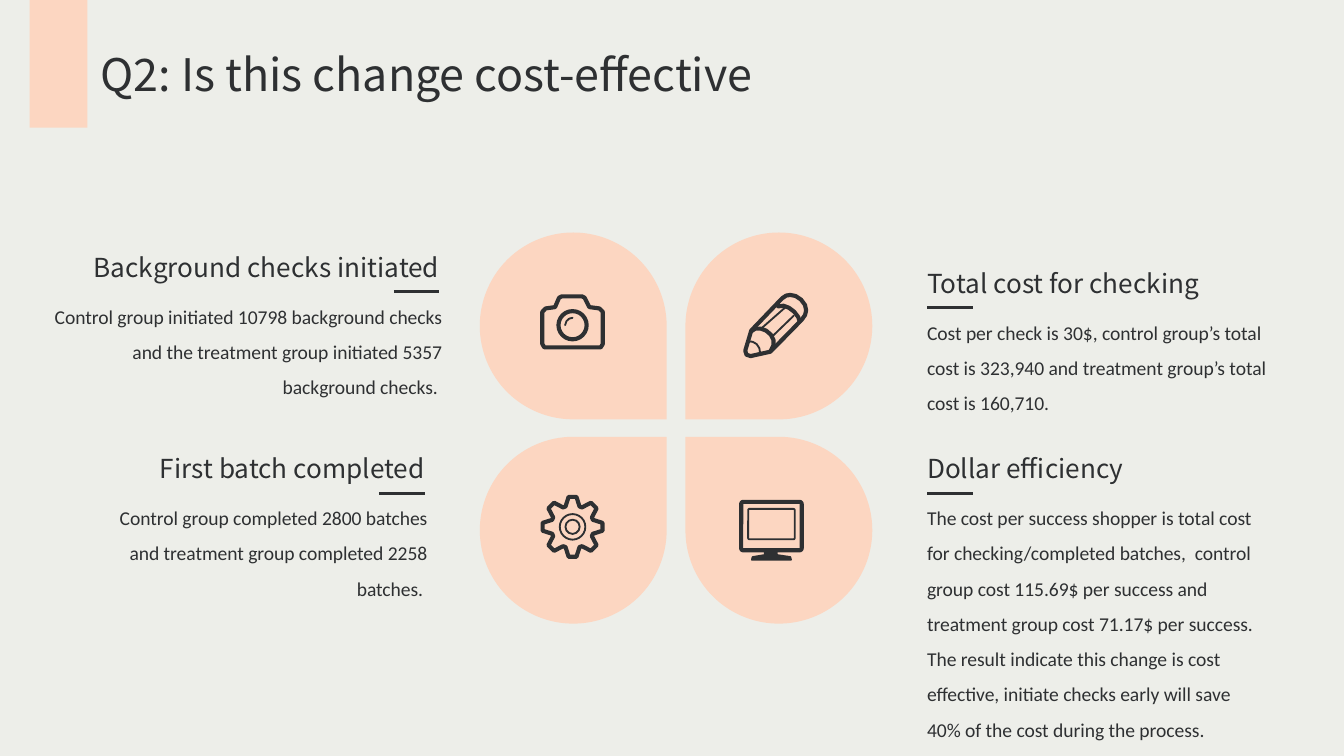
from math import cos, radians, sin

from lxml.etree import SubElement
from pptx import Presentation
from pptx.dml.color import RGBColor
from pptx.enum.shapes import MSO_CONNECTOR, MSO_SHAPE
from pptx.enum.text import MSO_AUTO_SIZE, PP_ALIGN
from pptx.oxml.ns import qn
from pptx.util import Inches, Pt

THEME = {
    "paper": RGBColor.from_string("EDEEE9"),
    "peach": RGBColor.from_string("FCD6C1"),
    "ink": RGBColor.from_string("2E3032"),
    "display": "Noto Sans CJK SC", "text": "Calibri",
    "title": 24, "heading": 14, "body": 10.5,
    "rule": 1.5, "thick": 2.2, "thin": 1,
}

TITLE = "Q2: Is this change cost-effective"

# side, edge of the heading, heading top, heading width, body width, body height
FINDINGS = [
    ("left", 3.37, 1.82, 2.9, 3.11, 0.87, "Background checks initiated",
     "Control group initiated 10798 background checks and the treatment group "
     "initiated 5357 background checks. "),
    ("left", 3.26, 3.32, 2.28, 2.74, 0.87, "First batch completed",
     "Control group completed 2800 batches and treatment group completed 2258 batches. "),
    ("right", 6.8, 1.94, 2.33, 2.73, 0.87, "Total cost for checking",
     "Cost per check is 30$, control group’s total cost is 323,940 and treatment "
     "group’s total cost is 160,710. "),
    ("right", 6.8, 3.32, 1.73, 2.73, 1.93, "Dollar efficiency",
     "The cost per success shopper is total cost for checking/completed batches,  "
     "control group cost 115.69$ per success and treatment group cost 71.17$ per "
     "success. The result indicate this change is cost effective, initiate checks "
     "early will save 40% of the cost during the process. "),
]

PETAL_LEFT, PETAL_TOP, PETAL_SIZE = 3.57, 1.73, 1.39
COLUMN_STEP, ROW_STEP = 1.53, 1.52
# column, row, rotation that points the tip at the centre
PETALS = [(0, 0, 90), (1, 0, 180), (0, 1, 0), (1, 1, 270)]

# tooth corners as (degrees from the tooth axis, radius)
TOOTH = [(-19, 16), (-7.5, 22.5), (7.5, 22.5), (19, 16)]
GEAR = [(24 + r * sin(radians(45 * n + a)), 24 - r * cos(radians(45 * n + a)))
        for n in range(8) for a, r in TOOTH]

# Icon parts in hundredths of an inch from the icon's corner.
# Preset parts: (preset, weight, (left, top, width, height)).
# Outlines: ("closed" | "open" | "solid", weight, points).
ICONS = {
    "camera": (4.02, 2.19, [
        ("closed", "thick", [
            (1.5, 13), (4, 10.5), (11, 9.5), (14, 2.5), (16, 1.5), (31, 1.5), (33, 2.5),
            (36.5, 9.5), (44, 10.5), (46.5, 13), (46.5, 37), (45, 39.5), (3, 39.5), (1.5, 37)]),
        (MSO_SHAPE.OVAL, "thick", (13.5, 12.5, 21, 21)),
        ("open", "thin", [(18.5, 23), (19.5, 20), (21.5, 18.2), (24, 17.5)]),
    ]),
    "pencil": (5.53, 2.18, [
        ("closed", "thick", [
            (1.5, 43), (6, 28), (29, 4), (32, 2), (35, 1.5), (39, 2.3), (43, 5), (46, 9),
            (46.8, 13), (46, 16.5), (43.5, 20), (22, 42), (20, 43.8), (5.5, 47), (2.5, 46)]),
        ("open", "thick", [(6, 28.5), (9, 26.5), (13, 26.5), (17, 28), (20.5, 31),
                           (22.5, 35), (22.5, 39), (20.5, 43)]),
        ("open", "thin", [(4, 36), (7, 36.3), (10, 38), (12, 41), (12.5, 44)]),
        ("open", "thick", [(26, 10), (30, 9.5), (34, 11), (38, 14), (41, 18), (42, 21)]),
        ("open", "thin", [(14.5, 25.5), (31, 11)]),
        ("open", "thin", [(22.5, 31.5), (37.5, 17)]),
    ]),
    "gear": (4.02, 3.68, [
        ("closed", "thick", GEAR),
        (MSO_SHAPE.OVAL, "thin", (14.5, 14.5, 19, 19)),
        (MSO_SHAPE.OVAL, "thin", (18.7, 18.7, 10.6, 10.6)),
    ]),
    "monitor": (5.5, 3.72, [
        (MSO_SHAPE.ROUNDED_RECTANGLE, "thick", (1.5, 1.5, 45, 36)),
        (MSO_SHAPE.ROUNDED_RECTANGLE, "thin", (6.7, 6.7, 34.6, 22.6)),
        ("solid", "thin", [(19, 38), (28, 38), (28, 41), (38, 42.5), (38.5, 44.5),
                           (9.5, 44.5), (10, 42.5), (19, 41)]),
    ]),
}


def paint(shape, fill=None, weight=None):
    """Set fill and outline, with rounded corners and ends."""
    shape.shadow.inherit = False
    if fill is None:
        shape.fill.background()
    else:
        shape.fill.solid()
        shape.fill.fore_color.rgb = fill
    if weight is None:
        shape.line.fill.background()
        return
    shape.line.color.rgb = THEME["ink"]
    shape.line.width = Pt(weight)
    outline = shape._element.spPr.find(qn("a:ln"))
    outline.set("cap", "rnd")
    SubElement(outline, qn("a:round"))


def add_preset(slide, preset, box, fill=None, weight=None):
    """Add a preset shape in a box given in inches."""
    shape = slide.shapes.add_shape(preset, *map(Inches, box))
    paint(shape, fill, weight)
    return shape


def add_text(slide, box, words, role, font, align=PP_ALIGN.LEFT, wrap=False, spacing=None):
    """Add one paragraph of text in the theme's style."""
    frame = slide.shapes.add_textbox(*map(Inches, box)).text_frame
    frame.text = words
    frame.word_wrap = wrap
    frame.auto_size = MSO_AUTO_SIZE.SHAPE_TO_FIT_TEXT
    paragraph = frame.paragraphs[0]
    paragraph.alignment = align
    if spacing:
        paragraph.line_spacing = spacing
    style = paragraph.runs[0].font
    style.name, style.size = THEME[font], Pt(THEME[role])
    style.color.rgb = THEME["ink"]


def add_finding(slide, side, edge, top, heading_width, body_width, body_height, heading, body):
    """Add a heading, its short rule and the body below."""
    on_left = side == "left"
    align = PP_ALIGN.RIGHT if on_left else PP_ALIGN.LEFT
    heading_left = edge - heading_width if on_left else edge
    body_left = edge + 0.02 - body_width if on_left else edge
    rule_left = edge - 0.44 if on_left else edge + 0.1
    add_text(slide, (body_left, top + 0.31, body_width, body_height), body,
             "body", "text", align, wrap=True, spacing=1.5)
    add_text(slide, (heading_left, top, heading_width, 0.34), heading,
             "heading", "display", align)
    ends = (rule_left, top + 0.35, rule_left + 0.34, top + 0.35)
    rule = slide.shapes.add_connector(MSO_CONNECTOR.STRAIGHT, *map(Inches, ends))
    rule.line.color.rgb = THEME["ink"]
    rule.line.width = Pt(THEME["rule"])
    SubElement(rule._element.spPr, qn("a:effectLst"))


def add_icon(slide, left, top, parts):
    """Draw an icon from its preset parts and outlines."""
    for kind, weight, spots in parts:
        if not isinstance(kind, str):
            x, y, width, height = (value / 100 for value in spots)
            part = add_preset(slide, kind, (left + x, top + y, width, height),
                              weight=THEME[weight])
            if kind == MSO_SHAPE.ROUNDED_RECTANGLE:
                part.adjustments[0] = 0.04
            continue
        points = [(x * 10, y * 10) for x, y in spots]
        builder = slide.shapes.build_freeform(*points[0], scale=Inches(1) / 1000)
        builder.add_line_segments(points[1:], close=kind != "open")
        outline = builder.convert_to_shape(Inches(left), Inches(top))
        paint(outline, THEME["ink"] if kind == "solid" else None, THEME[weight])


deck = Presentation()
deck.slide_width = Inches(10)
deck.slide_height = deck.slide_width * 9 // 16
slide = deck.slides.add_slide(deck.slide_layouts[6])
slide.background.fill.solid()
slide.background.fill.fore_color.rgb = THEME["paper"]

add_preset(slide, MSO_SHAPE.RECTANGLE, (0.22, 0, 0.43, 0.95), THEME["peach"])
add_text(slide, (0.65, 0.3, 5.38, 0.5), TITLE, "title", "display")
for column, row, turn in PETALS:
    corner = (PETAL_LEFT + column * COLUMN_STEP, PETAL_TOP + row * ROW_STEP)
    petal = add_preset(slide, MSO_SHAPE.TEAR, (*corner, PETAL_SIZE, PETAL_SIZE), THEME["peach"])
    petal.rotation = turn
for finding in FINDINGS:
    add_finding(slide, *finding)
for icon in ICONS.values():
    add_icon(slide, *icon)

deck.save("out.pptx")
